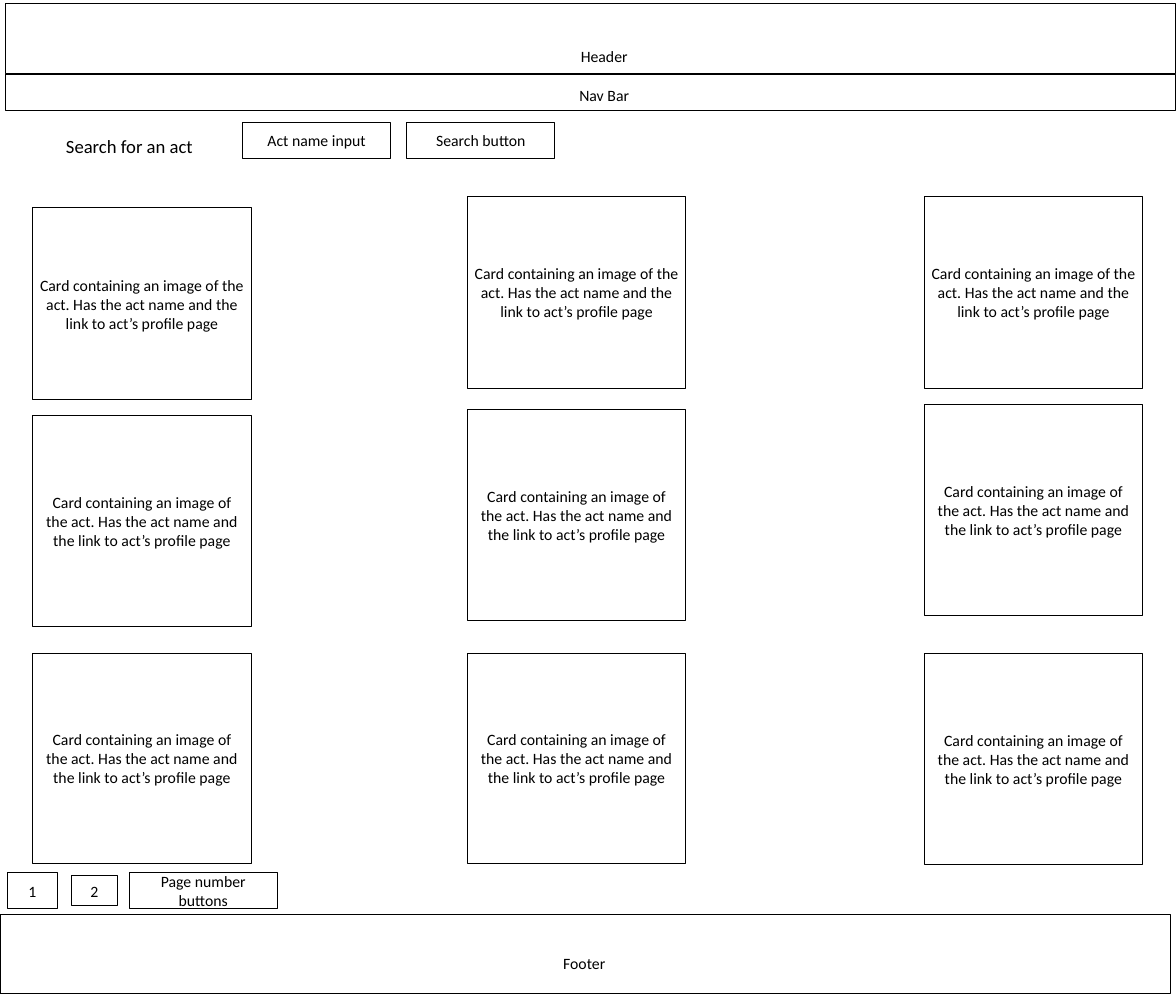
"""Wireframe of an act search page: header, search row, card grid, paging, footer."""
from dataclasses import dataclass
from typing import Any, NamedTuple

import pptx
import pptx.dml.color
import pptx.enum.shapes
import pptx.enum.text
import pptx.util

Anchor = pptx.enum.text.MSO_ANCHOR
AutoSize = pptx.enum.text.MSO_AUTO_SIZE


class Area(NamedTuple):
    """A place on the slide, in percent of its width and height."""
    left: float
    top: float
    width: float
    height: float


@dataclass(frozen=True)
class Theme:
    """Colours, type sizes and insets of the wireframe."""
    font: str = "Calibri"
    ink: pptx.dml.color.RGBColor = pptx.dml.color.RGBColor(0, 0, 0)
    body: float = 15.2
    prompt: float = 18
    outline: float = 1
    roomy: tuple[float, float] = (0.1, 0.05)
    tight: tuple[float, float] = (0.08, 0.04)


@dataclass(frozen=True)
class Block:
    """An outlined part of the page with an optional centred caption."""
    area: Area
    caption: str = ""
    insets: tuple[float, float] = Theme.tight


@dataclass(frozen=True)
class Label:
    """Free-standing text."""
    area: Area
    caption: str
    size: float = Theme.body
    wrap: bool = True


class CardRow(NamedTuple):
    """One row of cards: the top of each card, their height and insets."""
    tops: tuple[float, ...]
    height: float
    insets: tuple[float, float]


THEME = Theme()
CARD_TEXT = ("Card containing an image of the act. Has the act name "
             "and the link to act’s profile page")
CARD_LEFTS = (2.79, 39.75, 78.6)
CARD_WIDTH = 18.57
CARD_ROWS = (
    CardRow((20.86, 19.73, 19.73), 19.28, THEME.tight),
    CardRow((41.73, 41.13, 40.66), 21.16, THEME.roomy),
    CardRow((65.57, 65.57, 65.64), 21.16, THEME.roomy),
)
BAND_WIDTH = 99.56
LABEL_WIDTH, LABEL_HEIGHT = 31.56, 2.7
FIELD_WIDTH, FIELD_HEIGHT = 12.59, 3.6
SEARCH_TOP, PAGING_TOP = 12.3, 87.63

BANDS = [
    Block(Area(0.44, 0.33, BAND_WIDTH, 7.05)),
    Block(Area(0.44, 7.5, BAND_WIDTH, FIELD_HEIGHT)),
    Block(Area(0, 91.83, BAND_WIDTH, 7.88)),
]
BAND_LABELS = [
    Label(Area(left, top, LABEL_WIDTH, LABEL_HEIGHT), caption)
    for left, top, caption in ((35.6, 4.28, "Header"),
                               (35.6, 8.2, "Nav Bar"),
                               (33.9, 95.35, "Footer"))
]
CARDS = [
    Block(Area(left, row.tops[column], CARD_WIDTH, row.height), CARD_TEXT, row.insets)
    for column, left in enumerate(CARD_LEFTS) for row in CARD_ROWS
]
SEARCH_PROMPT = Label(Area(4.91, 13.2, 12.19, 3), "Search for an act", THEME.prompt, False)
CONTROLS = [
    Block(Area(20.63, SEARCH_TOP, FIELD_WIDTH, FIELD_HEIGHT), "Act name input"),
    Block(Area(34.59, SEARCH_TOP, FIELD_WIDTH, FIELD_HEIGHT), "Search button"),
    Block(Area(0.64, PAGING_TOP, 4.25, FIELD_HEIGHT), "1"),
    Block(Area(6.1, PAGING_TOP + 0.3, 3.87, 3), "2"),
    Block(Area(10.99, PAGING_TOP, FIELD_WIDTH, FIELD_HEIGHT), "Page number buttons"),
]

deck = pptx.Presentation()
deck.slide_width = pptx.util.Pt(1134)
deck.slide_height = pptx.util.Pt(960)
page = deck.slides.add_slide(deck.slide_layouts[6])


def apply(target: Any, formats: dict[str, Any]) -> None:
    """Set every format value on the target."""
    for attribute, value in formats.items():
        setattr(target, attribute, value)


def place(area: Area) -> tuple[int, ...]:
    """Turn shares of the slide into lengths."""
    sides = (deck.slide_width, deck.slide_height) * 2
    return tuple(round(side * share / 100) for side, share in zip(sides, area))


def write(frame: Any, caption: str, size: float, frame_formats: dict[str, Any]) -> None:
    """Put a centred caption into a text frame."""
    apply(frame, frame_formats)
    paragraph = frame.paragraphs[0]
    paragraph.alignment = pptx.enum.text.PP_ALIGN.CENTER
    run = paragraph.add_run()
    run.text = caption
    apply(run.font, {"name": THEME.font, "size": pptx.util.Pt(size)})
    run.font.color.rgb = THEME.ink


def draw_block(block: Block) -> None:
    """Draw an outlined rectangle and its caption."""
    outline = page.shapes.add_shape(
        pptx.enum.shapes.MSO_SHAPE.RECTANGLE, *place(block.area))
    outline.shadow.inherit = False
    outline.fill.background()
    outline.line.color.rgb = THEME.ink
    outline.line.width = pptx.util.Pt(THEME.outline)
    if block.caption:
        across, down = map(pptx.util.Inches, block.insets)
        write(outline.text_frame, block.caption, THEME.body, {
            "margin_left": across, "margin_right": across,
            "margin_top": down, "margin_bottom": down,
            "vertical_anchor": Anchor.MIDDLE, "word_wrap": True})


def draw_label(label: Label) -> None:
    """Draw text without an outline."""
    caption_box = page.shapes.add_textbox(*place(label.area))
    write(caption_box.text_frame, label.caption, label.size, {
        "word_wrap": label.wrap, "auto_size": AutoSize.SHAPE_TO_FIT_TEXT})


for band in BANDS:
    draw_block(band)
for band_label in BAND_LABELS:
    draw_label(band_label)
for card in CARDS:
    draw_block(card)
draw_label(SEARCH_PROMPT)
for control in CONTROLS:
    draw_block(control)

deck.save("out.pptx")
